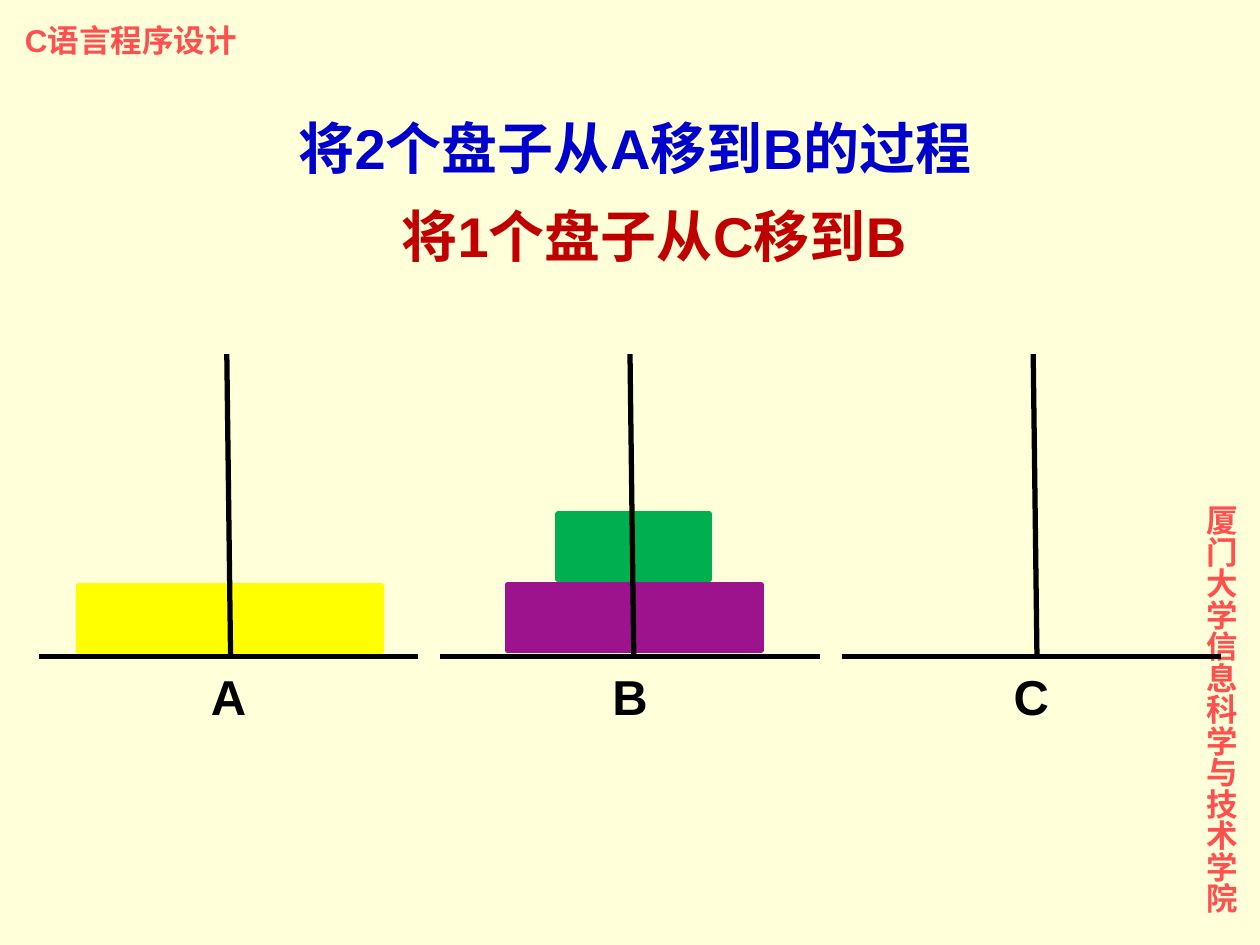
from lxml.etree import SubElement
from pptx import Presentation
from pptx.dml.color import RGBColor
from pptx.enum.shapes import MSO_CONNECTOR as Connector, MSO_SHAPE as Shape
from pptx.enum.text import MSO_ANCHOR as Anchor, MSO_AUTO_SIZE as AutoSize, PP_ALIGN as Align
from pptx.oxml.ns import qn
from pptx.util import Inches, Pt

COLORS = {
    "paper": "FFFFD9", "ink": "000000", "margin": "FF5050",
    "title": "0000CC", "step": "C00000",
    "large": "FFFF00", "medium": "9D138D", "small": "00B050",
}
COURSE = "C语言程序设计"
SCHOOL = "厦门大学信息科学与技术学院"
TITLE = "将2个盘子从A移到B的过程"
STEP = "将1个盘子从C移到B"
PEGS = ["A", "B", "C"]
# colour, left, top, width
DISKS = [("large", 0.62, 4.65, 2.41), ("medium", 4.03, 4.64, 2.01), ("small", 4.43, 4.08, 1.2)]

WIDTH, HEIGHT = 10, 7.5
BASE_LEFT, BASE_WIDTH, BASE_Y = 0.31, 3.01, 5.21
BASE_PITCH, PEG_PITCH = 3.185, 3.2
PEG_X, PEG_TOP, PEG_LEAN = 1.8, 2.81, 0.03
LABEL_LEFT, LABEL_TOP = 1.43, 5.37
DISK_HEIGHT = 0.52


def rgb(name):
    return RGBColor.from_string(COLORS[name])


def write(text, box, size, color, align=Align.CENTER, leading=24, top_inset=0.05,
          holder=None, vertical=False):
    left, top, width, height = map(Inches, box)
    holder = holder or slide.shapes.add_textbox(left, top, width, height)
    holder.left, holder.top, holder.width, holder.height = left, top, width, height
    frame = holder.text_frame
    frame.word_wrap = True
    frame.auto_size = AutoSize.NONE
    frame.vertical_anchor = Anchor.TOP
    frame.margin_top = Inches(top_inset)
    frame.margin_bottom = Inches(0.05)
    frame.margin_left = frame.margin_right = Inches(0.1)
    if vertical:
        frame._txBody.bodyPr.set("vert", "eaVert")
    paragraph = frame.paragraphs[0]
    paragraph.alignment = align
    paragraph.space_before = Pt(0)
    paragraph.line_spacing = Pt(leading) if leading else 1.0
    run = paragraph.add_run()
    run.text = text
    font = run.font
    font.name, font.size, font.bold = "Arial", Pt(size), True
    font.color.rgb = rgb(color)


def draw_line(x1, y1, x2, y2):
    line = slide.shapes.add_connector(Connector.STRAIGHT, *map(Inches, (x1, y1, x2, y2)))
    line.line.color.rgb = rgb("ink")
    line.line.width = Pt(3)
    SubElement(line._element.spPr, qn("a:effectLst"))


def draw_disk(color, left, top, width):
    disk = slide.shapes.add_shape(Shape.FLOWCHART_PROCESS,
                                  *map(Inches, (left, top, width, DISK_HEIGHT)))
    disk.shadow.inherit = False
    disk.fill.solid()
    disk.fill.fore_color.rgb = disk.line.color.rgb = rgb(color)
    disk.line.width = Pt(3)


deck = Presentation()
deck.slide_width, deck.slide_height = Inches(WIDTH), Inches(HEIGHT)
slide = deck.slides.add_slide(deck.slide_layouts[5])
slide.background.fill.solid()
slide.background.fill.fore_color.rgb = rgb("paper")

write(COURSE, (0.1, 0.12, 1.9, 0.4), 18, "margin", align=Align.LEFT, leading=None)
write(SCHOOL, (9.38, 3.91, 0.51, 3.61), 18, "margin", align=Align.LEFT, leading=None,
      vertical=True)

for column, peg in enumerate(PEGS):
    base_left = BASE_LEFT + column * BASE_PITCH
    draw_line(base_left, BASE_Y, base_left + BASE_WIDTH, BASE_Y)
    write(peg, (LABEL_LEFT + column * BASE_PITCH, LABEL_TOP, 0.77, 0.49), 28, "ink")

for disk in DISKS:
    draw_disk(*disk)

for column in range(len(PEGS)):
    peg_x = PEG_X + column * PEG_PITCH
    draw_line(peg_x + PEG_LEAN, BASE_Y, peg_x, PEG_TOP)

write(TITLE, (1.72, 0.86, 6.64, 0.7), 32, "title", top_inset=0.24, holder=slide.shapes.title)
write(STEP, (2.73, 1.56, 4.92, 0.7), 32, "step", top_inset=0.24)

deck.save("out.pptx")
